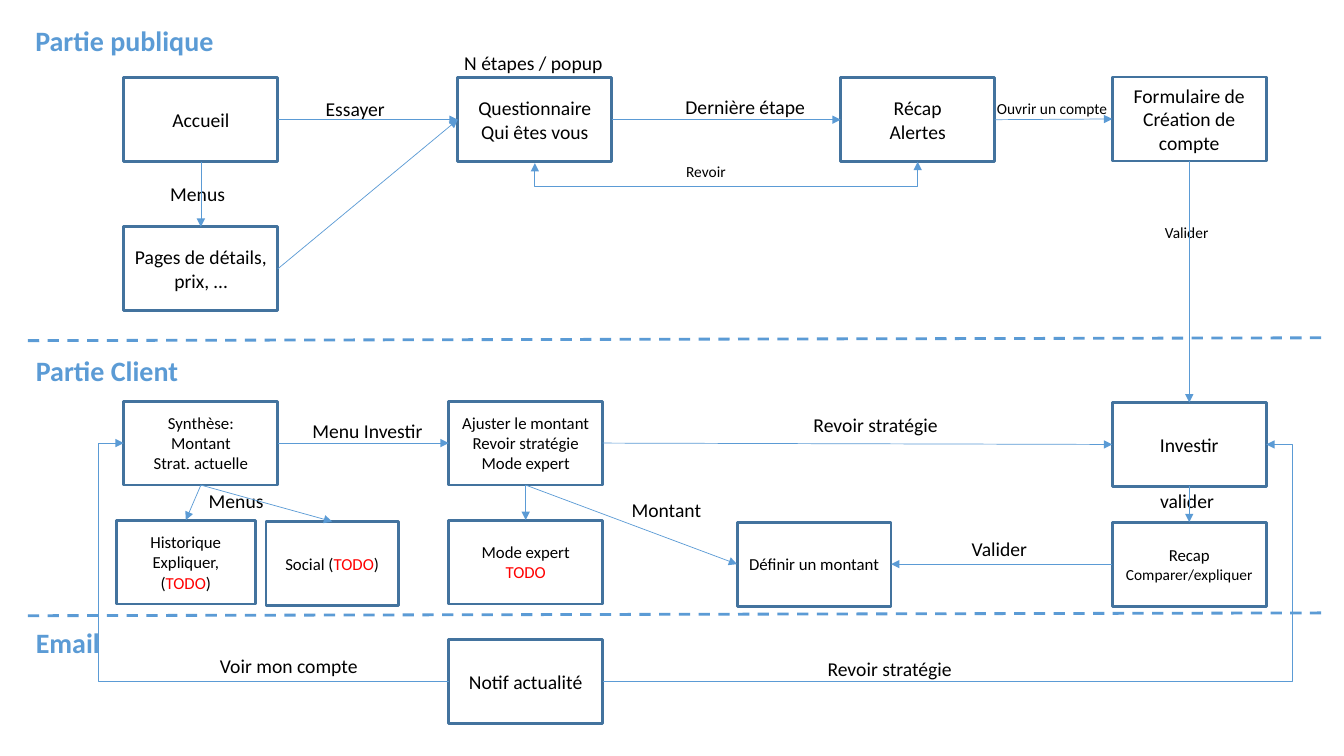
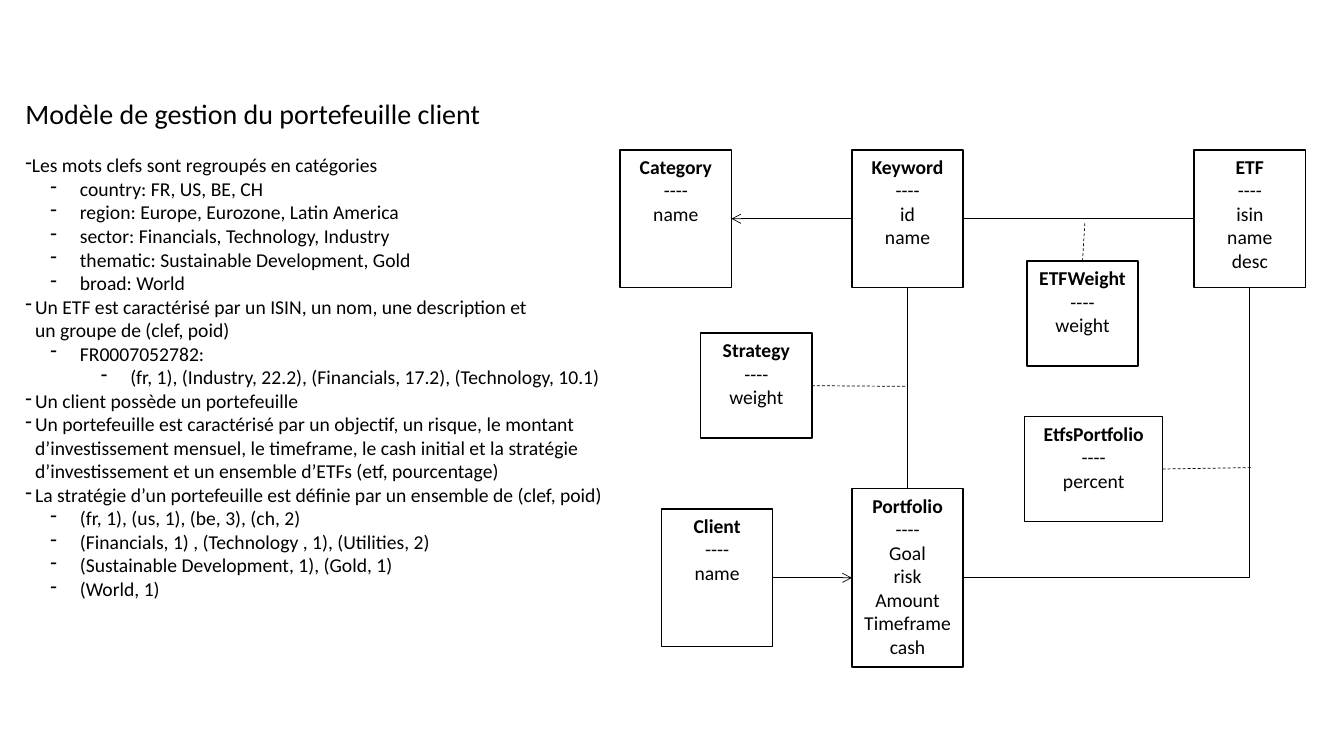
from dataclasses import dataclass

from lxml import etree
from pptx import Presentation
from pptx.dml.color import RGBColor
from pptx.enum import dml, shapes, text
from pptx.oxml import ns
from pptx.util import Pt

COLORS = {"accent": "5B9BD5", "border": "43739E", "ink": "000000",
          "paper": "FFFFFF", "todo": "FF0000"}
FONT = "Calibri"
TOP, LEFT, BOTTOM, RIGHT = range(4)
STRAIGHT, ELBOW = shapes.MSO_CONNECTOR.STRAIGHT, shapes.MSO_CONNECTOR.ELBOW
CENTER = text.PP_ALIGN.CENTER


@dataclass
class Box:
    left: float
    top: float
    width: float
    height: float

    def inner(self, x, y, width, height):
        return Box(self.left + x, self.top + y, width, height)

    def emu(self):
        return [Pt(v) for v in (self.left, self.top, self.width, self.height)]


# Shared text, box and line styles
def rgb(name):
    return RGBColor.from_string(COLORS[name])


def set_font(font, size, color="ink", bold=False):
    font.name, font.size, font.bold = FONT, Pt(size), bold
    font.color.rgb = rgb(color)


def add_title(slide, box, words, color="ink", bold=False):
    title = slide.shapes.title
    title.left, title.top, title.width, title.height = box.emu()
    frame = title.text_frame
    frame.text = words
    frame.word_wrap = True
    frame.auto_size = text.MSO_AUTO_SIZE.NONE
    frame.vertical_anchor = text.MSO_ANCHOR.TOP
    frame.paragraphs[0].alignment = text.PP_ALIGN.LEFT
    set_font(frame.paragraphs[0].font, 20, color, bold)


def add_label(slide, box, words, size, color="ink", bold=False):
    frame = slide.shapes.add_textbox(*box.emu()).text_frame
    frame.word_wrap = False
    frame.text = words
    set_font(frame.paragraphs[0].font, size, color, bold)


def add_rect(slide, box, color, width, anchor):
    rect = slide.shapes.add_shape(shapes.MSO_SHAPE.RECTANGLE, *box.emu())
    rect.shadow.inherit = False
    rect.line.color.rgb = rgb(color)
    rect.line.width = Pt(width)
    rect.text_frame.word_wrap = True
    rect.text_frame.vertical_anchor = anchor
    return rect


def add_paragraph(frame, index):
    return frame.add_paragraph() if index else frame.paragraphs[0]


def add_line(slide, points, color, width=0.5, kind=STRAIGHT, dash=False,
             head=None, tail=None):
    line = slide.shapes.add_connector(kind, *[Pt(v) for v in points])
    line.line.color.rgb = rgb(color)
    line.line.width = Pt(width)
    if dash:
        line.line.dash_style = dml.MSO_LINE.DASH
    properties = line._element.spPr
    outline = properties.find(ns.qn("a:ln"))
    for tag, arrow in (("a:headEnd", head), ("a:tailEnd", tail)):
        if arrow:
            etree.SubElement(outline, ns.qn(tag)).set("type", arrow)
    etree.SubElement(properties, ns.qn("a:effectLst"))
    return line


def add_link(slide, start, start_side, end, end_side, color, **style):
    link = add_line(slide, (0, 0, 0, 0), color, **style)
    link.begin_connect(start, start_side)
    link.end_connect(end, end_side)
    return link


def set_bend(link, ratio):
    """Place the middle segment of an elbow, as a share of its width."""
    geometry = link._element.spPr.find(ns.qn("a:prstGeom"))
    values = geometry.find(ns.qn("a:avLst"))
    if values is None:
        values = etree.SubElement(geometry, ns.qn("a:avLst"))
    guide = etree.SubElement(values, ns.qn("a:gd"))
    guide.set("name", "adj1")
    guide.set("fmla", f"val {round(ratio * 100000)}")


# Site map: three bands of pages
NODE_W, NODE_H = 110, 60

PUBLIC_PAGES = {  # x, y, width, size, lines
    "home": (88.5, 55.5, NODE_W, 14, ["Accueil"]),
    "quiz": (327, 55.5, NODE_W, 14, ["Questionnaire", "Qui êtes vous"]),
    "form": (794.5, 55, NODE_W, 14, ["Formulaire de Création de compte"]),
    "summary": (600.5, 55.5, NODE_W, 14, ["Récap", "Alertes"]),
    "details": (88.5, 162, NODE_W, 14, ["Pages de détails, prix, …"]),
}
PUBLIC_LABELS = [  # x, y, width, size, words
    (324.5, 32.5, 114.5, 14, "N étapes / popup"),
    (225.5, 65.5, 57.5, 14, "Essayer"),
    (482.5, 64, 101, 14, "Dernière étape"),
    (705, 67, 94.5, 11, "Ouvrir un compte"),
    (483, 112.5, 43, 11, "Revoir"),
    (114.5, 126.5, 54, 14, "Menus"),
    (825, 155.5, 47, 11, "Valider"),
]
CLIENT_PAGES = {
    "overview": (88.5, 44.5, NODE_W, 12,
                 ["Synthèse:", "Montant", "Strat. actuelle"]),
    "adjust": (320.5, 44.5, NODE_W, 12,
               ["Ajuster le montant", "Revoir stratégie", "Mode expert"]),
    "invest": (794.5, 45.5, NODE_W, 14, ["Investir"]),
    "compare": (794.5, 131, NODE_W, 12, ["Recap", "Comparer/expliquer"]),
    "history": (83, 129.5, 99.5, 12, ["Historique", "Expliquer, (TODO)"]),
    "social": (190, 130.5, 94.5, 12, ["Social (TODO)"]),
    "expert": (320.5, 129.5, NODE_W, 12, ["Mode expert", "TODO"]),
    "amount": (526.5, 131, NODE_W, 12, ["Définir un montant"]),
}
CLIENT_LABELS = [
    (216, 54, 93.5, 14, "Menu Investir"),
    (574, 49.5, 104.5, 14, "Revoir stratégie"),
    (444, 110, 65, 14, "Montant"),
    (821.5, 103.5, 53.5, 14, "valider"),
    (687, 138, 54.5, 14, "Valider"),
    (142, 103.5, 54, 14, "Menus"),
]
EMAIL_PAGES = {"news": (320.5, 19, NODE_W, 14, ["Notif actualité"])}
EMAIL_LABELS = [
    (584, 28, 104.5, 14, "Revoir stratégie"),
    (150, 25.5, 114, 14, "Voir mon compte"),
]
PAGE_LINKS = [
    ("home", RIGHT, "quiz", LEFT), ("details", RIGHT, "quiz", LEFT),
    ("home", BOTTOM, "details", TOP), ("quiz", RIGHT, "summary", LEFT),
    ("summary", RIGHT, "form", LEFT), ("form", BOTTOM, "invest", TOP),
    ("overview", RIGHT, "adjust", LEFT), ("adjust", RIGHT, "invest", LEFT),
    ("invest", BOTTOM, "compare", TOP), ("compare", LEFT, "amount", RIGHT),
    ("adjust", BOTTOM, "amount", LEFT), ("adjust", BOTTOM, "expert", TOP),
    ("overview", BOTTOM, "history", TOP), ("overview", BOTTOM, "social", TOP),
]


def add_page(slide, box, lines, size):
    page = add_rect(slide, box, "border", 2, text.MSO_ANCHOR.MIDDLE)
    page.fill.background()
    for index, words in enumerate(lines):
        paragraph = add_paragraph(page.text_frame, index)
        paragraph.alignment = CENTER
        set_font(paragraph.font, 11 if words == "Comparer/expliquer" else size)
        for part in words.partition("TODO"):
            if part:
                run = paragraph.add_run()
                run.text = part
                if part == "TODO":
                    run.font.color.rgb = rgb("todo")
    return page


def add_band(slide, box, pages, labels, divider=True):
    placed = {key: add_page(slide, box.inner(x, y, width, NODE_H), lines, size)
              for key, (x, y, width, size, lines) in pages.items()}
    for x, y, width, size, words in labels:
        height = 24.5 if size == 14 else 20.5
        add_label(slide, box.inner(x, y, width, height), words, size)
    if divider:
        bottom = box.top + box.height
        add_line(slide, (box.left + 20, bottom + 1.3, box.left + 945, bottom - 0.7),
                 "accent", 2, dash=True)
    return placed


def add_return_link(slide, start, end):
    """Elbow that leaves and arrives from below, 18 pt under the pages."""
    link = add_link(slide, start, BOTTOM, end, BOTTOM, "accent", kind=ELBOW,
                    head="triangle", tail="triangle")
    middle = (link.begin_x + link.end_x) // 2
    span, level = abs(link.begin_x - link.end_x), link.begin_y
    frame = link._element.spPr.find(ns.qn("a:xfrm"))
    for flip in ("flipH", "flipV"):
        frame.attrib.pop(flip, None)
    frame.set("rot", str(90 * 60000))
    link.width, link.height = Pt(1), span
    link.left = middle - Pt(0.5)
    link.top = level + Pt(0.5) - span // 2
    set_bend(link, 18)


def build_site_map(slide):
    public = Box(0, 0, 960, 242)
    client = Box(0, 242, 960, 196.5)
    email = Box(0, 438, 960, 102)
    add_title(slide, public.inner(18, 13.5, 231, 31.5), "Partie publique", "accent", True)
    for band, y, width, words in ((client, 7, 117.5, "Partie Client"),
                                  (email, 5, 60.5, "Email")):
        add_label(slide, band.inner(18.5, y, width, 31.5), words, 20, "accent", True)

    pages = {**add_band(slide, public, PUBLIC_PAGES, PUBLIC_LABELS),
             **add_band(slide, client, CLIENT_PAGES, CLIENT_LABELS),
             **add_band(slide, email, EMAIL_PAGES, EMAIL_LABELS, divider=False)}

    # Paths between pages
    for start, start_side, end, end_side in PAGE_LINKS:
        add_link(slide, pages[start], start_side, pages[end], end_side, "accent",
                 tail="triangle")
    for side, target, bend in ((RIGHT, "invest", 1.04), (LEFT, "overview", 1.08)):
        link = add_link(slide, pages["news"], side, pages[target], side, "accent",
                        kind=ELBOW, tail="triangle")
        set_bend(link, bend)
    add_return_link(slide, pages["summary"], pages["quiz"])


# Data model: notes and class diagram
INDENTS = {"lead": (0, 0), "point": (7, -7), "detail": (39, -21), "value": (75, -21)}
NOTES = [
    ("lead", "Les mots clefs sont regroupés en catégories"),
    ("detail", "country: FR, US, BE, CH"),
    ("detail", "region: Europe, Eurozone, Latin America"),
    ("detail", "sector: Financials, Technology, Industry"),
    ("detail", "thematic: Sustainable Development, Gold"),
    ("detail", "broad: World"),
    ("point", "Un ETF est caractérisé par un ISIN, un nom, une description et\v"
              "un groupe de (clef, poid)"),
    ("detail", "FR0007052782:"),
    ("value", "(fr, 1), (Industry, 22.2), (Financials, 17.2), (Technology, 10.1)"),
    ("point", "Un client possède un portefeuille"),
    ("point", "Un portefeuille est caractérisé par un objectif, un risque, le montant\v"
              "d’investissement mensuel, le timeframe, le cash initial et la stratégie\v"
              "d’investissement et un ensemble d’ETFs (etf, pourcentage)"),
    ("point", "La stratégie d’un portefeuille est définie par un ensemble de (clef, poid)"),
    ("detail", "(fr, 1), (us, 1), (be, 3), (ch, 2)"),
    ("detail", "(Financials, 1) , (Technology , 1), (Utilities, 2)"),
    ("detail", "(Sustainable Development, 1), (Gold, 1)"),
    ("detail", "(World, 1)"),
]
CLASSES = {  # x, y, width, height, fields
    "Category": (0, 0, 79.5, 98.5, ["name"]),
    "Keyword": (165.5, 0, 79.5, 98.5, ["id", "name"]),
    "ETF": (410, 0, 79.5, 98.5, ["isin", "name", "desc"]),
    "ETFWeight": (290.5, 79.5, 79.5, 75, ["weight"]),
    "Portfolio": (165.5, 242, 79.5, 127.5,
                  ["Goal", "risk", "Amount", "Timeframe", "cash"]),
    "EtfsPortfolio": (289, 190.5, 98.5, 75, ["percent"]),
    "Strategy": (57.5, 131, 79.5, 75, ["weight"]),
    "Client": (29.5, 256.5, 79.5, 98.5, ["name"]),
}
RELATIONS = [
    ("Keyword", LEFT, "Category", RIGHT, "arrow"),
    ("ETF", LEFT, "Keyword", RIGHT, None),
    ("Keyword", BOTTOM, "Portfolio", TOP, None),
    ("Client", RIGHT, "Portfolio", LEFT, "arrow"),
]
ASSOCIATIONS = [  # class, side, x and y on the relation
    ("ETFWeight", TOP, 332, 51),
    ("EtfsPortfolio", RIGHT, 451.5, 227),
    ("Strategy", RIGHT, 205.5, 169),
]


def add_notes(slide, box):
    frame = slide.shapes.add_textbox(*box.emu()).text_frame
    frame.word_wrap = True
    for index, (level, words) in enumerate(NOTES):
        paragraph = add_paragraph(frame, index)
        paragraph.text = words
        properties = paragraph._p.get_or_add_pPr()
        for name, length in zip(("marL", "indent"), INDENTS[level]):
            properties.set(name, str(int(Pt(length))))
        etree.SubElement(properties, ns.qn("a:buChar")).set("char", "-")
        set_font(paragraph.font, 14)


def add_class(slide, box, name, fields):
    entity = add_rect(slide, box, "ink", 1, text.MSO_ANCHOR.TOP)
    entity.fill.solid()
    entity.fill.fore_color.rgb = rgb("paper")
    for index, words in enumerate([name, "----", *fields]):
        paragraph = add_paragraph(entity.text_frame, index)
        paragraph.text = words
        paragraph.alignment = CENTER
        set_font(paragraph.font, 14, bold=index == 0)
    return entity


def add_class_diagram(slide, box):
    classes = {name: add_class(slide, box.inner(*place), name, fields)
               for name, (*place, fields) in CLASSES.items()}
    for start, start_side, end, end_side, tail in RELATIONS:
        add_link(slide, classes[start], start_side, classes[end], end_side, "ink",
                 tail=tail)
    corner = add_link(slide, classes["Portfolio"], RIGHT, classes["ETF"], BOTTOM,
                      "ink", kind=ELBOW)
    corner._element.spPr.find(ns.qn("a:prstGeom")).set("prst", "bentConnector2")
    for name, side, x, y in ASSOCIATIONS:
        link = add_line(slide, (0, 0, box.left + x, box.top + y), "ink", dash=True)
        link.begin_connect(classes[name], side)


def build_data_model(slide):
    add_title(slide, Box(11, 65, 432.5, 31.5), "Modèle de gestion du portefeuille client")
    add_notes(slide, Box(11, 106, 432.5, 327))
    add_class_diagram(slide, Box(443, 107, 490, 370))


def main():
    deck = Presentation()
    deck.slide_width, deck.slide_height = Pt(960), Pt(540)
    title_only = deck.slide_layouts[5]
    for build in (build_site_map, build_data_model):
        build(deck.slides.add_slide(title_only))
    deck.save("out.pptx")


if __name__ == "__main__":
    main()
